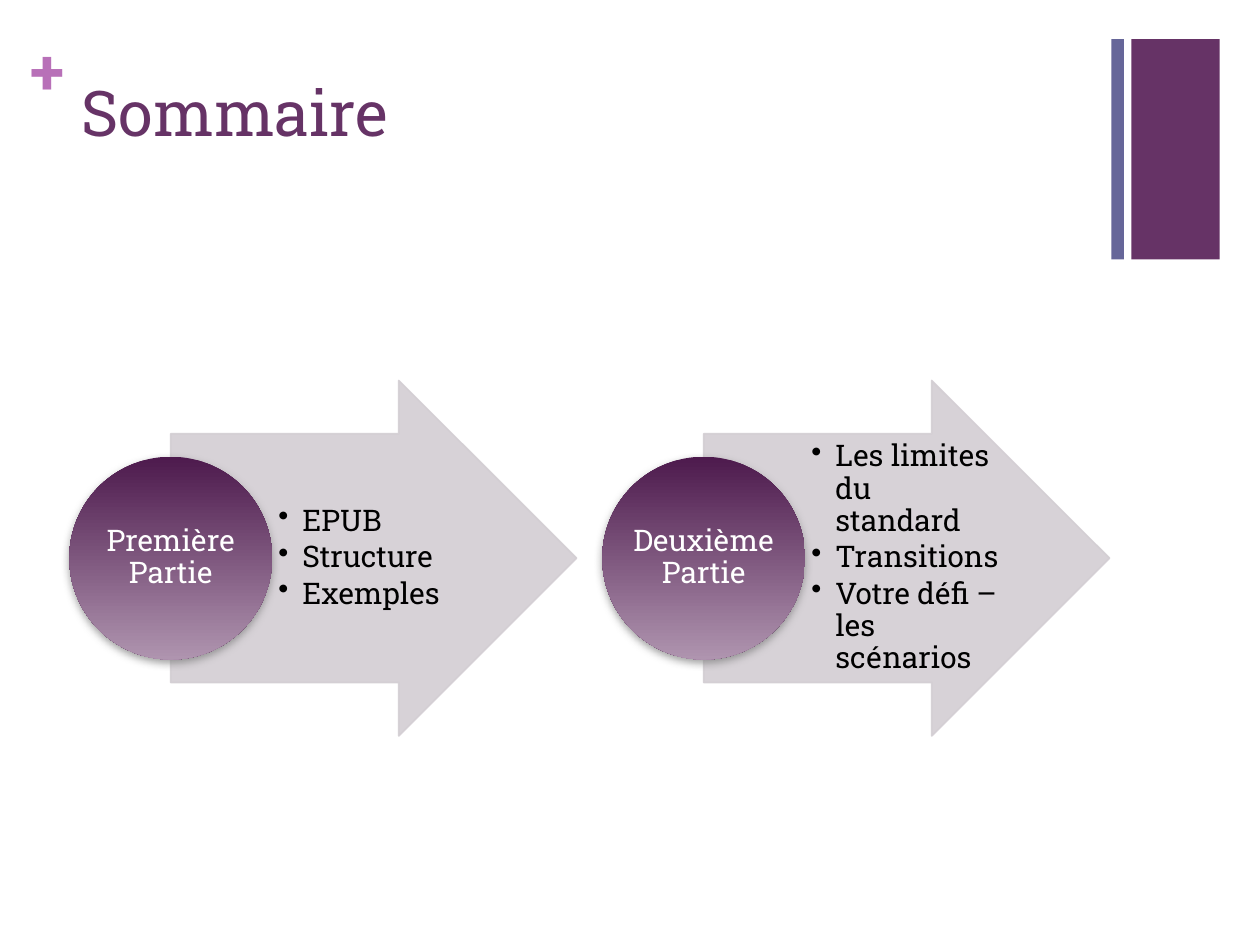
from lxml import etree
from pptx import Presentation
from pptx import util as u
from pptx.dml.color import RGBColor
from pptx.enum import shapes, text
from pptx.oxml import parse_xml
from pptx.oxml.ns import nsdecls, qn

WIDTH, HEIGHT = 10, 7.5
FONT = "Roboto Slab"
COLORS = {
    "plum": "663366", "slate": "666699", "orchid": "B870B8",
    "arrow": "D3CED3", "dark": "4D1A4D", "light": "AF94AF",
    "shadow": "808080", "black": "000000", "white": "FFFFFF",
}
PARTS = [
    ("Première Partie", ["EPUB", "Structure", "Exemples"]),
    ("Deuxième Partie", ["Les limites du standard", "Transitions",
                         "Votre défi – les scénarios"]),
]
FIRST_LEFT, PART_PITCH = 0.55, 4.23
MIDDLE = 4.43
CIRCLE = 1.61
ARROW_WIDTH, ARROW_HEIGHT = 3.22, 2.82
LIST_WIDTH, LIST_HEIGHT = 1.57, 1.97
BODY_SIZE = 17


def rgb(name):
    return RGBColor.from_string(COLORS[name])


def inches(*lengths):
    return [u.Inches(length) for length in lengths]


def centred_on_row(left, width, height):
    return left, MIDDLE - height / 2, width, height


def set_frame(frame, insets, anchor=text.MSO_ANCHOR.TOP, wrap=True):
    frame.word_wrap = wrap
    frame.auto_size = text.MSO_AUTO_SIZE.NONE
    frame.vertical_anchor = anchor
    (frame.margin_left, frame.margin_top,
     frame.margin_right, frame.margin_bottom) = inches(*insets)


def write(para, content, size=BODY_SIZE, color="black", bold=False,
          align=text.PP_ALIGN.LEFT, spacing=1.0, after=0):
    para.alignment = align
    para.line_spacing = spacing
    para.space_before = u.Pt(0)
    para.space_after = u.Pt(after)
    span = para.add_run()
    span.text = content
    span.font.name, span.font.size, span.font.bold = FONT, u.Pt(size), bold
    span.font.color.rgb = rgb(color)


def add_bullet(para, indent):
    props = para._p.get_or_add_pPr()
    props.set("marL", str(u.Inches(indent)))
    props.set("indent", str(-u.Inches(indent)))
    etree.SubElement(props, qn("a:buChar"), char="•")


def add_plain_shape(page, kind, box):
    shape = page.shapes.add_shape(kind, *inches(*box))
    shape.shadow.inherit = False
    shape.line.fill.background()
    return shape


def add_bar(page, left, width, color):
    bar = add_plain_shape(page, shapes.MSO_SHAPE.RECTANGLE,
                          (left, 0.31, width, 1.75))
    bar.fill.solid()
    bar.fill.fore_color.rgb = rgb(color)


def add_plus(page):
    box = page.shapes.add_textbox(*inches(0.24, 0.25, 0.29, 0.61))
    set_frame(box.text_frame, (0, 0, 0, 0), wrap=False)
    write(box.text_frame.paragraphs[0], "+", size=36, color="orchid", bold=True)


def set_title(page, content):
    title = page.shapes.title
    title.left, title.top, title.width, title.height = inches(
        0.55, 0.53, 8.26, 1.22)
    set_frame(title.text_frame, (0.1, 0.05, 0.1, 0.05))
    write(title.text_frame.paragraphs[0], content, size=36, color="plum")


def add_arrow(page, left):
    arrow = add_plain_shape(page, shapes.MSO_SHAPE.RIGHT_ARROW,
                            centred_on_row(left, ARROW_WIDTH, ARROW_HEIGHT))
    arrow.adjustments[0], arrow.adjustments[1] = 0.7, 0.5
    arrow.line.width = u.Pt(1)
    for fill in (arrow.fill, arrow.line.fill):
        fill.solid()
        fill.fore_color.rgb = rgb("arrow")
    for color in arrow._element.spPr.iter(qn("a:srgbClr")):
        etree.SubElement(color, qn("a:alpha"), val="90000")


def add_list(page, left, items):
    box = page.shapes.add_textbox(
        *inches(*centred_on_row(left, LIST_WIDTH, LIST_HEIGHT)))
    frame = box.text_frame
    set_frame(frame, (0.05, 0.01, 0.02, 0.01), text.MSO_ANCHOR.MIDDLE)
    for index, item in enumerate(items):
        para = frame.add_paragraph() if index else frame.paragraphs[0]
        write(para, item, spacing=0.9, after=2.5)
        add_bullet(para, 0.19)


def add_soft_shadow(shape):
    effects = shape._element.spPr.find(qn("a:effectLst"))
    effects.append(parse_xml(
        f'<a:outerShdw {nsdecls("a")} blurRad="{u.Pt(5)}" dist="{u.Pt(2)}" '
        f'dir="5400000" rotWithShape="0"><a:srgbClr val="{COLORS["shadow"]}">'
        '<a:alpha val="75000"/></a:srgbClr></a:outerShdw>'))


def add_circle(page, left, label):
    circle = add_plain_shape(page, shapes.MSO_SHAPE.OVAL,
                             centred_on_row(left, CIRCLE, CIRCLE))
    circle.fill.gradient()
    circle.fill.gradient_angle = 270
    for stop, color in zip(circle.fill.gradient_stops, ("dark", "light")):
        stop.color.rgb = rgb(color)
    add_soft_shadow(circle)
    set_frame(circle.text_frame, [0.01] * 4, text.MSO_ANCHOR.MIDDLE)
    write(circle.text_frame.paragraphs[0], label, color="white",
          align=text.PP_ALIGN.CENTER, spacing=0.9)


def add_part(page, left, label, items):
    """Arrow that starts at the circle's centre, list to the circle's right."""
    add_arrow(page, left + CIRCLE / 2)
    add_list(page, left + CIRCLE, items)
    add_circle(page, left, label)


def main():
    deck = Presentation()
    deck.slide_width, deck.slide_height = inches(WIDTH, HEIGHT)
    page = deck.slides.add_slide(deck.slide_layouts[5])
    add_bar(page, 8.98, 0.7, "plum")
    add_plus(page)
    add_bar(page, 8.82, 0.1, "slate")
    set_title(page, "Sommaire")
    for index, (label, items) in enumerate(PARTS):
        add_part(page, FIRST_LEFT + index * PART_PITCH, label, items)
    deck.save("out.pptx")


if __name__ == "__main__":
    main()
